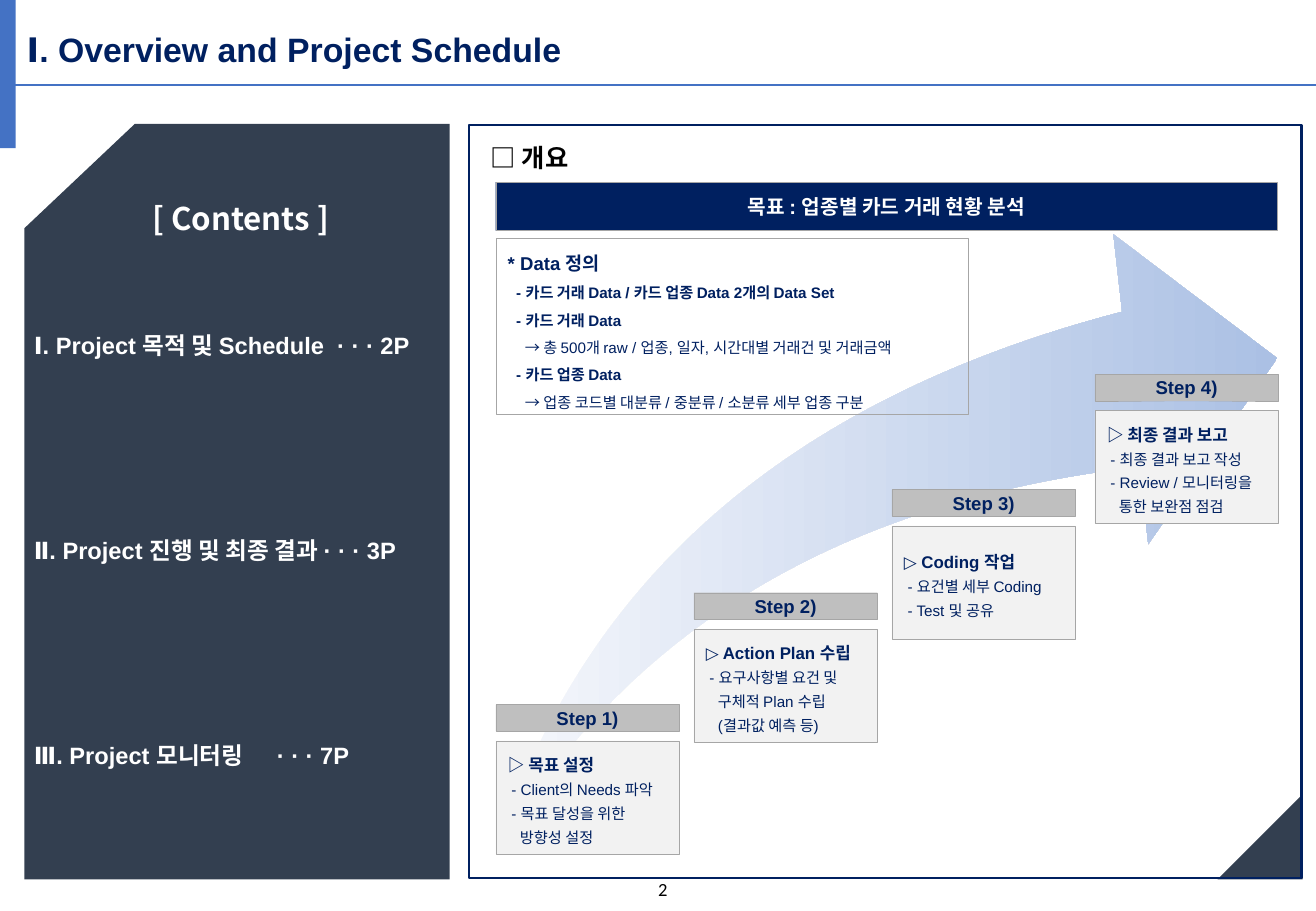
from dataclasses import dataclass
from typing import Optional

from lxml.etree import SubElement
from pptx import Presentation
from pptx.dml.color import RGBColor
from pptx.enum.shapes import MSO_CONNECTOR, MSO_SHAPE
from pptx.enum.text import MSO_ANCHOR as Anchor, PP_ALIGN as Align
from pptx.oxml.ns import qn
from pptx.util import Inches, Pt

NAVY, SLATE, BLUE = "002060", "333F50", "4472C4"
WHITE, BLACK, EDGE = "FFFFFF", "000000", "A6A6A6"
KOREAN = "Noto Sans CJK KR"


@dataclass(frozen=True)
class Line:
    text: str
    size: float
    bold: bool = True
    color: str = NAVY
    font: str = "Arial"
    indent: float = 0
    align: Align = Align.LEFT
    spacing: object = 1.0
    before: float = 0
    tab: float = 0


@dataclass(frozen=True)
class Step:
    left: float
    top: float
    goal: str
    tasks: tuple[tuple[str, float], ...]


DASH, CONTINUED = 0.03, 0.1
STEPS = (
    Step(4.08, 5.8, "목표 설정", (
        ("- Client의 Needs 파악", DASH), ("- 목표 달성을 위한", DASH), ("방향성 설정", CONTINUED))),
    Step(5.71, 4.88, "Action Plan 수립", (
        ("- 요구사항별 요건 및", DASH), ("구체적 Plan 수립", CONTINUED), ("(결과값 예측 등)", CONTINUED))),
    Step(7.34, 4.03, "Coding 작업", (
        ("- 요건별 세부 Coding", DASH), ("- Test 및 공유", DASH))),
    Step(9.01, 3.08, "최종 결과 보고", (
        ("- 최종 결과 보고 작성", DASH), ("- Review / 모니터링을", DASH), ("통한 보완점 점검", CONTINUED))),
)
DATA_NOTES = (
    ("- 카드 거래 Data / 카드 업종 Data 2개의 Data Set", True),
    ("- 카드 거래 Data", True),
    ("→ 총 500개 raw / 업종, 일자, 시간대별 거래건 및 거래금액", False),
    ("- 카드 업종 Data", True),
    ("→ 업종 코드별 대분류 / 중분류 / 소분류 세부 업종 구분", False),
)
CONTENTS = (
    "Ⅰ. Project 목적 및 Schedule  · · · 2P",
    "Ⅱ. Project 진행 및 최종 결과 · · · 3P",
    "Ⅲ. Project 모니터링\t· · · 7P",
)


def rgb(value: str) -> RGBColor:
    return RGBColor.from_string(value)


def write(shape, lines: list[Line], anchor: Anchor = Anchor.TOP, right: float = 0.1) -> None:
    frame = shape.text_frame
    frame.word_wrap = True
    frame.vertical_anchor = anchor
    frame.margin_left, frame.margin_right = Inches(0.1), Inches(right)
    frame.margin_top = frame.margin_bottom = Inches(0.05)
    for index, line in enumerate(lines):
        paragraph = frame.add_paragraph() if index else frame.paragraphs[0]
        paragraph.alignment = line.align
        paragraph.line_spacing = line.spacing
        paragraph.space_before = Pt(line.before)
        properties = paragraph._p.get_or_add_pPr()
        properties.set("marL", str(Inches(line.indent)))
        properties.set("indent", "0")
        if line.tab:
            stops = SubElement(properties, qn("a:tabLst"))
            SubElement(stops, qn("a:tab"), pos=str(Inches(line.tab)), algn="l")
        run = paragraph.add_run()
        run.text = line.text
        run.font.name, run.font.size, run.font.bold = line.font, Pt(line.size), line.bold
        run.font.color.rgb = rgb(line.color)
        SubElement(run._r.get_or_add_rPr(), qn("a:ea"), typeface=KOREAN)


def paint(shape, fill: Optional[str], edge: Optional[str] = None, width: float = 0.25):
    shape.shadow.inherit = False
    if fill:
        shape.fill.solid()
        shape.fill.fore_color.rgb = rgb(fill)
    else:
        shape.fill.background()
    if edge:
        shape.line.color.rgb = rgb(edge)
        shape.line.width = Pt(width)
    else:
        shape.line.fill.background()
    return shape


def box(left: float, top: float, width: float, height: float,
        fill: Optional[str], edge: Optional[str] = None, line_width: float = 0.25):
    shape = slide.shapes.add_shape(
        MSO_SHAPE.RECTANGLE, Inches(left), Inches(top), Inches(width), Inches(height))
    return paint(shape, fill, edge, line_width)


def outline(points: list[tuple[float, float]]):
    corners = [(Inches(x), Inches(y)) for x, y in points]
    builder = slide.shapes.build_freeform(*corners[0])
    builder.add_line_segments(corners[1:])
    return paint(builder.convert_to_shape(), SLATE)


def text(left: float, top: float, width: float, height: float, lines: list[Line]) -> None:
    write(slide.shapes.add_textbox(
        Inches(left), Inches(top), Inches(width), Inches(height)), lines)


def draw_step(number: int, step: Step) -> None:
    label = box(step.left, step.top, 1.51, 0.22, "BFBFBF", EDGE)
    write(label, [Line(f"Step {number})", 11, align=Align.CENTER)], Anchor.MIDDLE)
    body = box(step.left, step.top + 0.3, 1.51, 0.93, "F2F2F2", EDGE)
    tasks = [Line(task, 9, False, indent=indent, spacing=1.3) for task, indent in step.tasks]
    write(body, [Line(f"▷ {step.goal}", 10, spacing=1.3), *tasks], Anchor.MIDDLE, right=0.02)


deck = Presentation()
deck.slide_width, deck.slide_height = Inches(10.83), Inches(7.5)
slide = deck.slides.add_slide(deck.slide_layouts[5])

title = slide.shapes.title
title.left, title.top, title.width, title.height = map(Inches, (0.12, 0.18, 10.58, 0.44))
write(title, [Line("Ⅰ. Overview and Project Schedule", 20)], Anchor.MIDDLE)

rule = slide.shapes.add_connector(
    MSO_CONNECTOR.STRAIGHT, Inches(0.03), Inches(0.7), Inches(10.83), Inches(0.7))
rule.line.color.rgb = rgb(BLUE)
rule.line.width = Pt(1.5)
SubElement(rule._element.spPr, qn("a:effectLst"))
box(0, 0, 0.13, 1.22, BLUE)

growth = slide.shapes.add_shape(
    MSO_SHAPE.SWOOSH_ARROW, Inches(4.08), Inches(1.93), Inches(6.43), Inches(5.1))
paint(growth, None)
growth.adjustments[0] = growth.adjustments[1] = 0.25
growth.fill.gradient()
growth.fill.gradient_angle = 0
for stop, tint in zip(growth.fill.gradient_stops, ("F6F8FC", "ABC0E4")):
    stop.color.rgb = rgb(tint)

outline([(10.72, 6.54), (10.72, 7.24), (10.02, 7.24)])
outline([(1.11, 1.02), (3.7, 1.02), (3.7, 7.24), (0.2, 7.24), (0.2, 1.88)])
text(0.54, 1.64, 2.88, 0.35, [
    Line("[ Contents ]", 18.5, color=WHITE, font=KOREAN, align=Align.CENTER, spacing=Pt(18.5))])
text(0.18, 2.58, 3.78, 3.97, [
    Line(entry, 14, color=WHITE, spacing=1.4, before=98 if index else 0,
         tab=2.53 if "\t" in entry else 0)
    for index, entry in enumerate(CONTENTS)])

box(3.86, 1.03, 6.85, 6.2, None, NAVY, 1.5)
text(3.94, 1.12, 6.75, 0.35, [Line("□ 개요", 15, color=BLACK)])
goal = box(4.08, 1.5, 6.43, 0.4, NAVY, EDGE)
write(goal, [Line("목표 : 업종별 카드 거래 현황 분석", 12, color=WHITE, align=Align.CENTER)],
      Anchor.MIDDLE)

for number, step in enumerate(STEPS, 1):
    draw_step(number, step)

definitions = box(4.08, 1.96, 3.89, 1.45, None, EDGE)
write(definitions, [Line("* Data 정의", 11, spacing=1.5)] + [
    Line(note, 9, bold, indent=0.07 if bold else 0.14, spacing=1.5)
    for note, bold in DATA_NOTES], Anchor.MIDDLE)

text(4.33, 7.18, 2.25, 0.24, [
    Line("2", 11, False, BLACK, "Calibri", align=Align.CENTER)])

deck.save("out.pptx")
